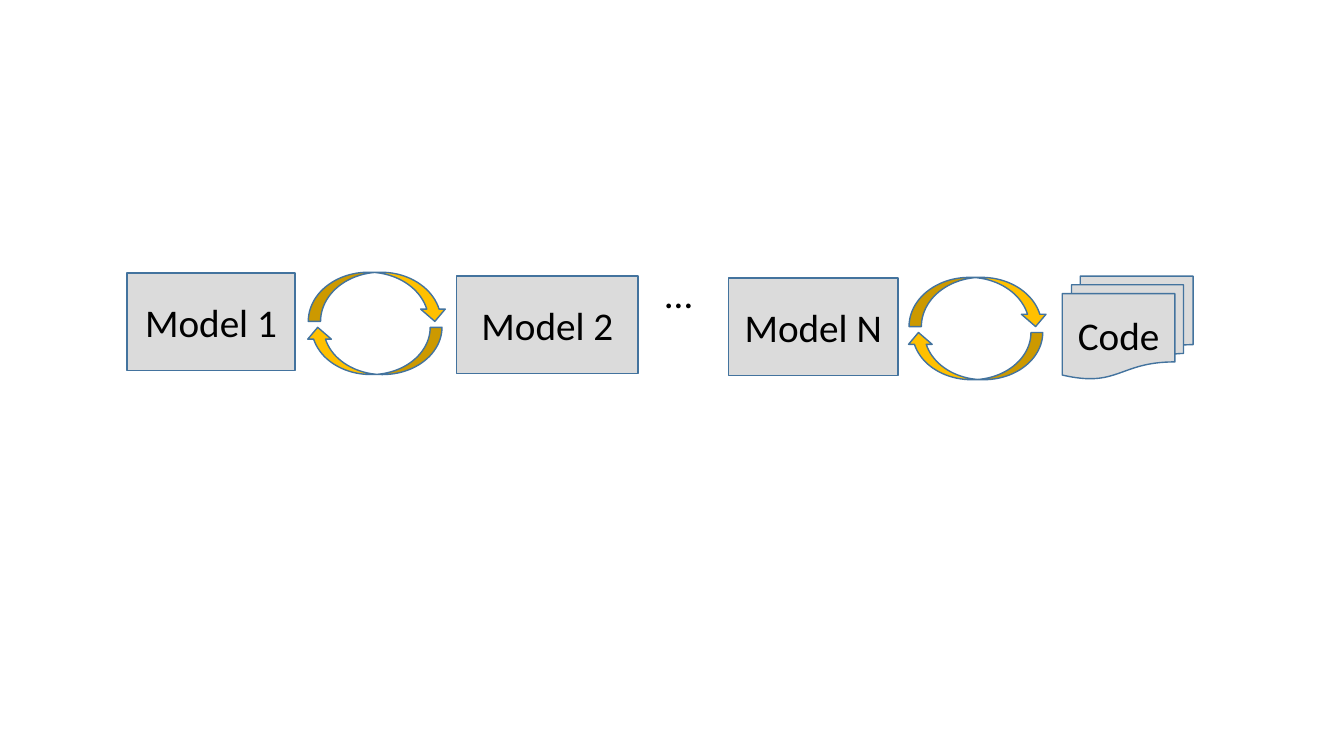
from pptx import Presentation
from pptx.dml.color import RGBColor
from pptx.enum.shapes import MSO_SHAPE as SHAPE
from pptx.enum.text import MSO_ANCHOR as ANCHOR, MSO_AUTO_SIZE as AUTO, PP_ALIGN as ALIGN
from pptx.util import Cm, Pt

GREY = RGBColor(0xDB, 0xDB, 0xDB)
GOLD = RGBColor(0xFF, 0xC0, 0x00)
BLUE = RGBColor(0x43, 0x73, 0x9E)
BLACK = RGBColor(0, 0, 0)


def add_shape(kind, box, fill):
    sp = s.shapes.add_shape(kind, *map(Cm, box))
    sp.shadow.inherit = False
    sp.fill.solid()
    sp.fill.fore_color.rgb = fill
    sp.line.color.rgb = BLUE
    sp.line.width = Pt(1)
    return sp


def write(sp, text, frame, align):
    tf = sp.text_frame
    for name, value in frame.items():
        setattr(tf, name, value)
    p = tf.paragraphs[0]
    p.alignment = align
    r = p.add_run()
    r.text = text
    for name, value in {"name": "Calibri", "size": Pt(28)}.items():
        setattr(r.font, name, value)
    r.font.color.rgb = BLACK


prs = Presentation()
prs.slide_width, prs.slide_height = Cm(33.87), Cm(19.05)
s = prs.slides.add_slide(prs.slide_layouts[6])

stages = [
    ("Model 1", SHAPE.RECTANGLE, (3.2, 6.88, 4.24, 2.46)),
    ("Model 2", SHAPE.RECTANGLE, (11.51, 6.96, 4.57, 2.46)),
    ("Model N", SHAPE.RECTANGLE, (18.36, 7.01, 4.27, 2.46)),
    ("Code", SHAPE.FLOWCHART_MULTIDOCUMENT, (26.77, 6.96, 3.3, 2.59)),
]
for text, kind, box in stages:
    sp = add_shape(kind, box, GREY)
    write(sp, text, {"word_wrap": True, "vertical_anchor": ANCHOR.MIDDLE}, ALIGN.CENTER)

for left, top in [(7.77, 6.86), (22.91, 6.99)]:
    add_shape(SHAPE.CURVED_DOWN_ARROW, (left, top, 3.5, 1.24), GOLD)
    back = add_shape(SHAPE.CURVED_DOWN_ARROW, (left - 0.06, top + 1.39, 3.43, 1.19), GOLD)
    for flip in ("flipH", "flipV"):
        back.element.spPr.xfrm.set(flip, "1")

dots = s.shapes.add_textbox(Cm(16.51), Cm(6.65), Cm(1.19), Cm(1.45))
write(dots, "…", {"word_wrap": False, "auto_size": AUTO.SHAPE_TO_FIT_TEXT}, ALIGN.LEFT)

prs.save("out.pptx")
